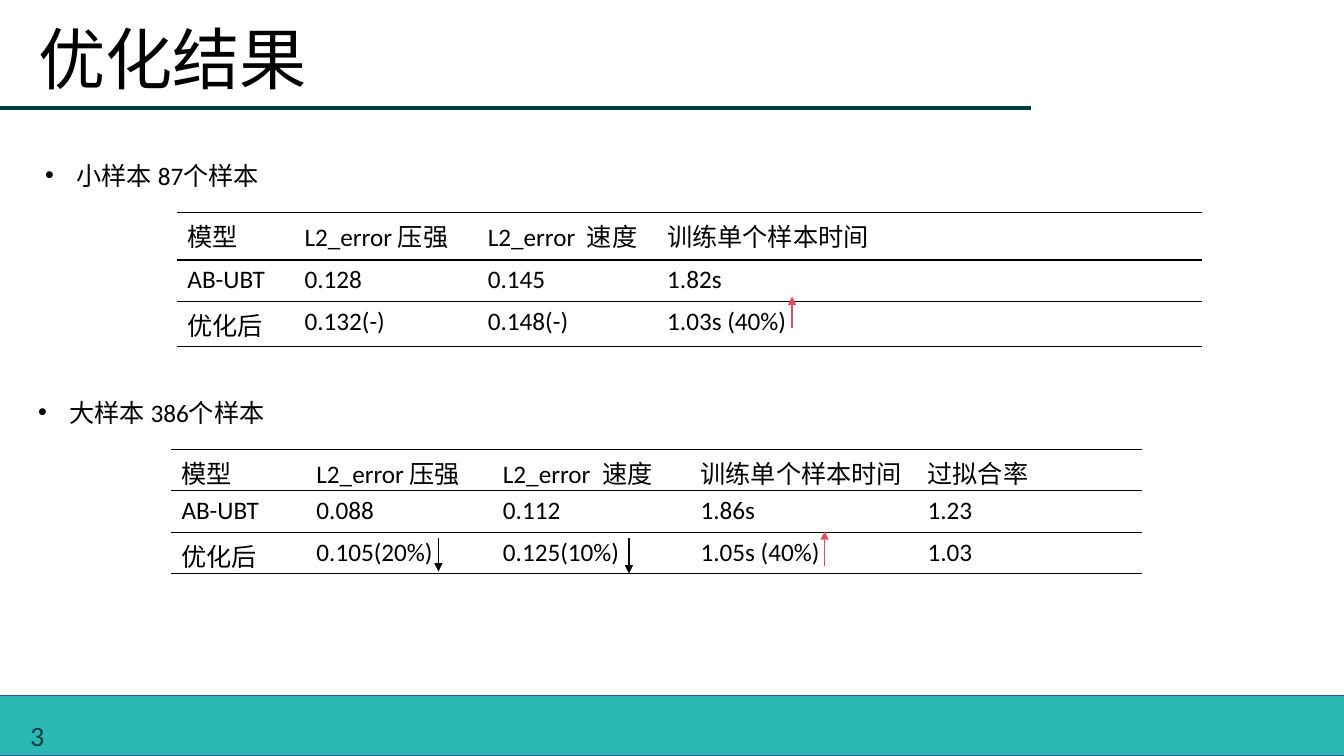
from lxml.etree import SubElement
from pptx import Presentation
from pptx.dml.color import RGBColor
from pptx.enum.shapes import MSO_CONNECTOR, MSO_SHAPE
from pptx.enum.text import MSO_ANCHOR, MSO_AUTO_SIZE, PP_ALIGN
from pptx.oxml import parse_xml
from pptx.oxml.ns import nsdecls, qn
from pptx.util import Cm, Pt

BLACK = RGBColor(0x00, 0x00, 0x00)
WHITE = RGBColor(0xFF, 0xFF, 0xFF)
TEAL = RGBColor(0x2B, 0xB7, 0xB3)
DARK_TEAL = RGBColor(0x00, 0x3F, 0x43)
BLUE = RGBColor(0x2E, 0x54, 0xA1)
RED = RGBColor(0xE5, 0x4C, 0x5E)

BODY = {"name": "Calibri", "size": Pt(18)}
TITLE = {"name": "Times New Roman", "size": Pt(48)}
NUMBER = {"name": "Calibri", "size": Pt(20)}
PLAIN_TABLE = "{2D5ABB26-0587-4C30-8999-92F81FD0307C}"
INDENT = Cm(0.79)

HEADER = ["模型", "L2_error 压强", "L2_error  速度", "训练单个样本时间"]
SMALL_SAMPLE = [
    HEADER + [""],
    ["AB-UBT", "0.128", "0.145", "1.82s", ""],
    ["优化后", "0.132(-)", "0.148(-)", "1.03s (40%)", ""],
]
LARGE_SAMPLE = [
    HEADER + ["过拟合率"],
    ["AB-UBT", "0.088", "0.112", "1.86s", "1.23"],
    ["优化后", "0.105(20%)", "0.125(10%)", "1.05s (40%)", "1.03"],
]


def write(para, text, style, color=BLACK):
    span = para.add_run()
    span.text = text
    for name, value in style.items():
        setattr(span.font, name, value)
    span.font.color.rgb = color


def add_text(page, text, left, top, width, style, color=BLACK):
    box = page.shapes.add_textbox(Cm(left), Cm(top), Cm(width), Cm(1.02))
    box.text_frame.word_wrap = True
    para = box.text_frame.paragraphs[0]
    write(para, text, style, color)
    return box, para


def add_caption(page, text, left, top):
    box, para = add_text(page, text, left, top, 7.16, BODY)
    box.text_frame.auto_size = MSO_AUTO_SIZE.SHAPE_TO_FIT_TEXT
    properties = para._p.get_or_add_pPr()
    properties.set("marL", str(INDENT))
    properties.set("indent", str(-INDENT))
    SubElement(properties, qn("a:buFont"), typeface="Arial")
    SubElement(properties, qn("a:buChar"), char="•")


def add_line(page, start, end, color, width=1, arrow=False):
    line = page.shapes.add_connector(
        MSO_CONNECTOR.STRAIGHT, *(Cm(value) for value in start + end))
    line.line.color.rgb = color
    line.line.width = Pt(width)
    if arrow:
        SubElement(line.line._get_or_add_ln(), qn("a:tailEnd"), type="triangle")
    SubElement(line._element.spPr, qn("a:effectLst"))


def add_border(cell, side):
    border = parse_xml(
        f'<a:{side} {nsdecls("a")} w="{Pt(1)}"><a:solidFill>'
        f'<a:srgbClr val="{BLACK}"/></a:solidFill></a:{side}>')
    cell._tc.get_or_add_tcPr().append(border)


def add_results(page, rows, left, top, widths, heights, bottom_margin):
    frame = page.shapes.add_table(
        len(rows), len(widths), Cm(left), Cm(top), Cm(sum(widths)), Cm(sum(heights)))
    table = frame.table
    table.first_row = table.horz_banding = False
    table._tbl.tblPr.find(qn("a:tableStyleId")).text = PLAIN_TABLE
    for column, width in zip(table.columns, widths):
        column.width = Cm(width)
    for index, (row, texts) in enumerate(zip(table.rows, rows)):
        row.height = Cm(heights[index])
        for cell, text in zip(row.cells, texts):
            cell.margin_bottom = Cm(bottom_margin)
            # Rules above and below the header, and below the last row
            if index < 2:
                add_border(cell, "lnT")
            if index != 1:
                add_border(cell, "lnB")
            cell.fill.solid()
            cell.fill.fore_color.rgb = WHITE
            if text:
                write(cell.text_frame.paragraphs[0], text, BODY)


def add_title(page, text):
    title = page.shapes.title
    title.left, title.top, title.width, title.height = (
        Cm(value) for value in (0.71, 0.3, 33.15, 3.61))
    frame = title.text_frame
    frame.auto_size = MSO_AUTO_SIZE.NONE
    frame.vertical_anchor = MSO_ANCHOR.TOP
    frame.paragraphs[0].alignment = PP_ALIGN.LEFT
    write(frame.paragraphs[0], text, TITLE)


def add_footer(page, number):
    bar = page.shapes.add_shape(
        MSO_SHAPE.RECTANGLE, Cm(-0.03), Cm(17.53), Cm(34.16), Cm(1.52))
    bar.shadow.inherit = False
    bar.fill.solid()
    bar.fill.fore_color.rgb = TEAL
    bar.line.color.rgb = BLUE
    bar.line.width = Pt(1)
    box, para = add_text(page, number, -0.03, 18.03, 1.4, NUMBER, DARK_TEAL)
    box.text_frame.vertical_anchor = MSO_ANCHOR.MIDDLE
    para.alignment = PP_ALIGN.RIGHT


def main():
    deck = Presentation()
    deck.slide_width, deck.slide_height = Cm(33.87), Cm(19.05)
    page = deck.slides.add_slide(deck.slide_layouts[5])

    # Page frame
    add_footer(page, "3")
    add_line(page, (0, 2.72), (25.98, 2.72), DARK_TEAL, 2.5)
    add_title(page, "优化结果")

    # Small sample
    add_caption(page, "小样本 87个样本", 0.89, 3.91)
    add_results(page, SMALL_SAMPLE, 4.47, 5.36,
                (2.95, 4.62, 4.52, 6.25, 7.47), (1.19, 1.04, 1.14), 0.13)

    # Large sample
    add_caption(page, "大样本 386个样本", 0.71, 9.88)
    add_results(page, LARGE_SAMPLE, 4.32, 11.33,
                (3.4, 4.7, 4.98, 5.72, 5.66), (1.04, 1.04, 1.04), 0)

    # Change arrows: x, start, end, colour
    for x, start, end, color in (
        (19.96, 8.26, 7.47, RED),
        (11.05, 13.56, 14.4, BLACK),
        (15.85, 13.56, 14.45, BLACK),
        (20.78, 14.25, 13.39, RED),
    ):
        add_line(page, (x, start), (x, end), color, arrow=True)

    deck.save("out.pptx")


if __name__ == "__main__":
    main()
